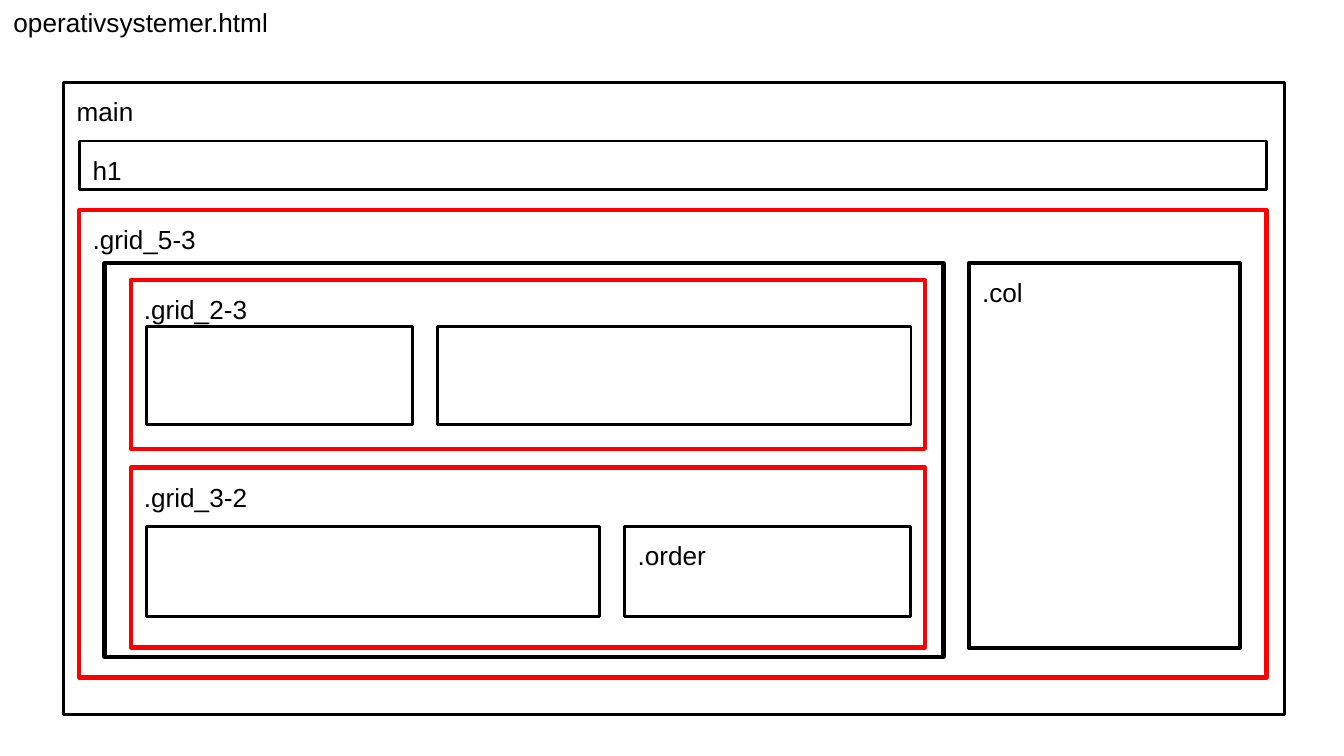
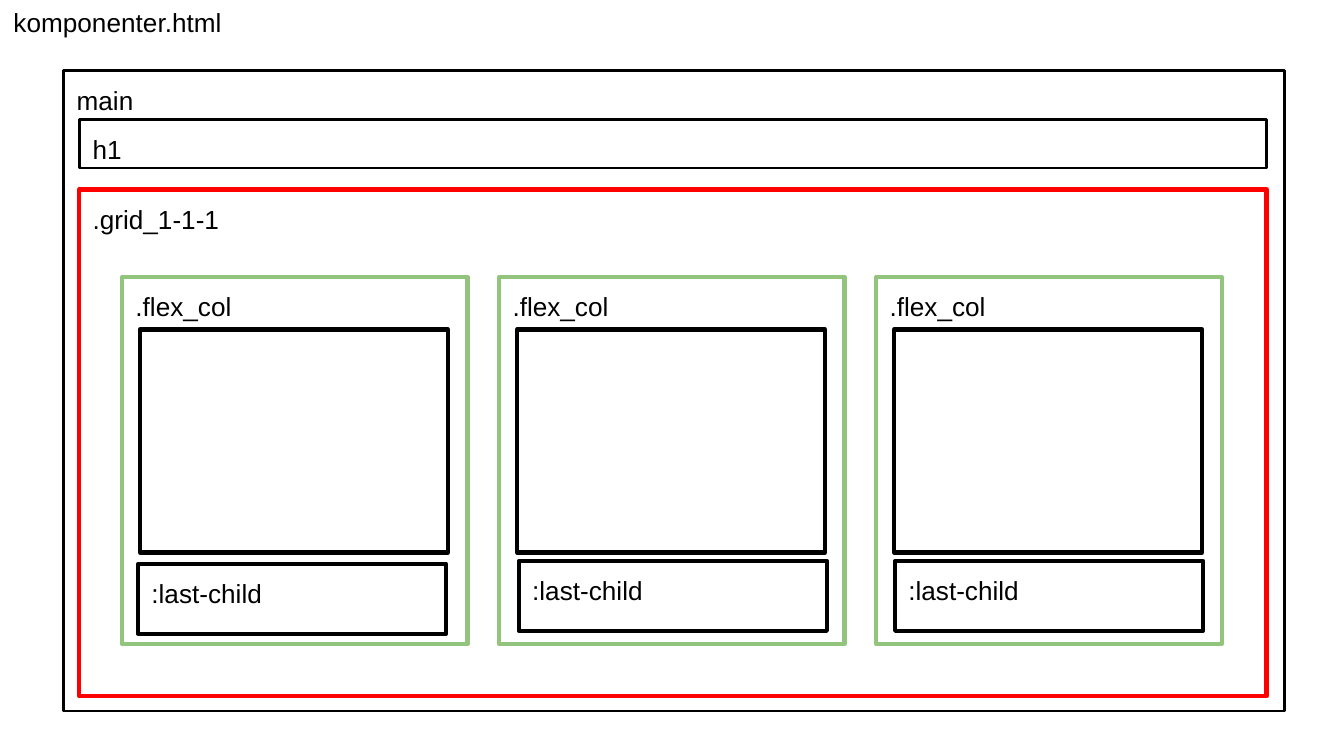
from pptx import Presentation
from pptx.dml.color import RGBColor as RGB
from pptx.enum.shapes import MSO_SHAPE as SHAPE
from pptx.enum.text import MSO_ANCHOR as ANCHOR, PP_ALIGN as ALIGN
from pptx.util import Pt

COLORS = {"ink": "000000", "grid": "FF0000", "flex": "93C47D", "paper": "FFFFFF"}
FONT, SIZE = "Arial", 14
THIN, THICK = 1.5, 2.25
GAP = 13.5


def style_text(tf, text, pad_y):
    """Write one left-aligned label at the top of a text frame."""
    tf.word_wrap = True
    tf.vertical_anchor = ANCHOR.TOP
    tf.margin_left = tf.margin_right = Pt(7.2)
    tf.margin_top = tf.margin_bottom = Pt(pad_y)
    p = tf.paragraphs[0]
    p.text = text
    p.alignment = ALIGN.LEFT
    p.font.name, p.font.size = FONT, Pt(SIZE)
    p.font.color.rgb = RGB.from_string(COLORS["ink"])


def frame(s, box, text="", color="ink", weight=THIN):
    """Draw an unfilled element box with an optional label."""
    sp = s.shapes.add_shape(SHAPE.RECTANGLE, *map(Pt, box))
    sp.shadow.inherit = False
    sp.fill.background()
    sp.line.color.rgb = RGB.from_string(COLORS[color])
    sp.line.width = Pt(weight)
    if text:
        style_text(sp.text_frame, text, 7.2)


def page(prs, title, box, h1_top, grid_top, grid_height, grid_name):
    """Add a slide with title, main, h1 and outer grid; return slide and grid box."""
    s = prs.slides.add_slide(prs.slide_layouts.get_by_name("Title Only"))
    s.background.fill.solid()
    s.background.fill.fore_color.rgb = RGB.from_string(COLORS["paper"])
    sp = s.shapes.title
    sp.left, sp.top, sp.width, sp.height = map(Pt, (0, 0, 204, 24.5))
    style_text(sp.text_frame, title, 3.6)
    x, y, w, h = box
    inner_x, inner_w = x + 8.5, w - 18
    grid = (inner_x, y + grid_top, inner_w, grid_height)
    frame(s, box, "main")
    frame(s, (inner_x, y + h1_top, inner_w, 26), "h1")
    frame(s, grid, grid_name, "grid", THICK)
    return s, grid


def grid_row(s, box, name, first_width, cell_top, cell_height, last_label=""):
    """Draw a grid holding two cells, the second filling the remaining width."""
    x, y, w, h = box
    left, top = x + 8.5, y + cell_top
    second = left + first_width + GAP
    frame(s, box, name, "grid", THICK)
    frame(s, (left, top, first_width, cell_height))
    frame(s, (second, top, x + w - 7.5 - second, cell_height), last_label)


def two_columns(s, box):
    """Draw the wide column with two nested grids and the narrow .col column."""
    x, y, w, h = box
    top, wide = y + 28.5, 449.5
    left = x + 13.5
    frame(s, (left, top, wide, 211), weight=THICK)
    frame(s, (left + wide + GAP, top, 145.5, 206), ".col", weight=THICK)
    grid_row(s, (left + 14, top + 9, 425.5, 90.5), ".grid_2-3", 142.5, 25, 52.5)
    grid_row(s, (left + 14, top + 109.5, 425.5, 96.5), ".grid_3-2", 242.5, 31.5,
             48.5, ".order")


def flex_card(s, box, last_offset):
    """Draw a flex column with its content box and last child."""
    x, y, w, h = box
    dx, dy = last_offset
    frame(s, box, ".flex_col", "flex", THICK)
    frame(s, (x + 9.5, y + 28, 165, 119.5), weight=THICK)
    frame(s, (x + dx, y + dy, 165, 37.5), ":last-child", weight=THICK)


def three_cards(s, box):
    """Spread three flex columns evenly over the grid."""
    x, y, w, h = box
    for i, offset in enumerate([(8.5, 153.5), (10.5, 152), (10, 152)]):
        flex_card(s, (x + 23 + i * 202, y + 47, 185, 196.5), offset)


prs = Presentation()
prs.slide_width, prs.slide_height = Pt(720), Pt(405)
two_columns(*page(prs, "operativsystemer.html", (34, 44, 654, 339),
                  31.5, 68.5, 250.5, ".grid_5-3"))
three_cards(*page(prs, "komponenter.html", (34, 38, 654, 343),
                  26, 63.5, 271.5, ".grid_1-1-1"))
prs.save("out.pptx")
